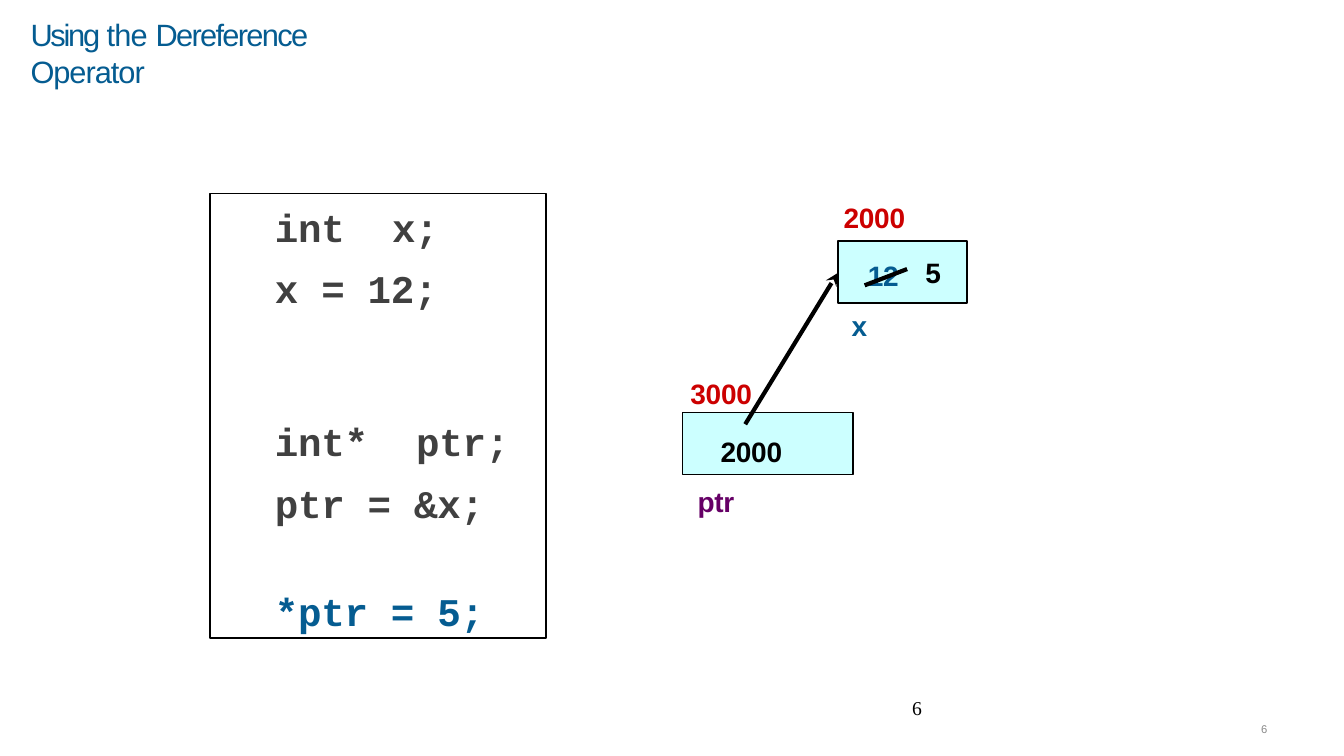
from dataclasses import dataclass

from lxml.etree import SubElement
from pptx import Presentation
from pptx.dml.color import RGBColor
from pptx.enum.shapes import MSO_CONNECTOR as Connector, MSO_SHAPE as Shape
from pptx.oxml.ns import qn
from pptx.util import Cm, Pt

BLUE, RED, PURPLE = "055C91", "CC0000", "660066"
BLACK, GRAY, PALE_GRAY, CYAN = "000000", "404040", "898989", "CCFFFF"
CODE_LEFT = 6.93


@dataclass
class Box:
    x: float
    y: float
    w: float
    h: float
    fill: str | None = None


@dataclass
class Line:
    x1: float
    y1: float
    x2: float
    y2: float
    arrow: bool = False


@dataclass
class Label:
    text: str
    x: float
    y: float
    w: float
    h: float = 0.91
    color: str = BLACK
    size: float = 20
    font: str = "Arial"
    bold: bool = True
    tracking: float = -0.2


@dataclass
class Code(Label):
    """Program text; tab is the tab stop in cm, spacing the line spacing."""
    h: float = 3.18
    color: str = GRAY
    size: float = 28
    font: str = "Courier New"
    tab: float | None = None
    spacing: float = 1.31


BOXES = [
    Box(5.29, 4.87, 8.47, 11.21),
    Box(21.12, 6.07, 3.25, 1.57, CYAN),
    Box(17.2, 10.39, 4.3, 1.57, CYAN),
]
LABELS = [
    Code("int\tx;\vx = 12;", CODE_LEFT, 4.72, 4.4, tab=2.95),
    Code("int*\tptr;\vptr = &x;", CODE_LEFT, 10.13, 6.2, tab=3.56),
    Code("*ptr = 5;", CODE_LEFT, 14.76, 5.6, 1.24, BLUE, spacing=1),
    Label("2000", 21.26, 5.03, 1.7, color=RED),
    Label("12", 21.87, 6.48, 1.0, color=BLUE),
    Label("5", 23.32, 6.4, 0.6),
    Label("x", 21.46, 7.75, 0.6, color=BLUE),
    Label("3000", 17.4, 9.45, 1.7, color=RED),
    Label("2000", 18.16, 10.92, 1.7),
    Label("ptr", 17.58, 12.17, 1.1, color=PURPLE),
    Label("6", 22.99, 17.5, 0.48, 0.6, size=14, font="Times New Roman", bold=False),
    Label("6", 31.78, 18.16, 0.38, 0.41, PALE_GRAY, 8, bold=False),
]
LINES = [
    Line(18.78, 10.69, 21.11, 6.88, arrow=True),
    Line(21.79, 7.19, 22.86, 6.78),
]
TITLE = Label("", 0.77, 0.36, 9.8, 1.0, BLUE, 22, bold=False)
TITLE_RUNS = [("Using ", -1.6), ("the ", -0.5), ("Dereference ", -1.2), ("Operator", -0.7)]


def rgb(value: str) -> RGBColor:
    return RGBColor.from_string(value)


def track(r, points: float) -> None:
    """Set the letter spacing of a run."""
    r._r.get_or_add_rPr().set("spc", str(round(points * 100)))


def draw_box(s, box: Box) -> None:
    sp = s.shapes.add_shape(Shape.RECTANGLE, Cm(box.x), Cm(box.y), Cm(box.w), Cm(box.h))
    sp.shadow.inherit = False
    if box.fill:
        sp.fill.solid()
        sp.fill.fore_color.rgb = rgb(box.fill)
    else:
        sp.fill.background()
    sp.line.color.rgb = rgb(BLACK)
    sp.line.width = Pt(1)


def draw_line(s, line: Line) -> None:
    sp = s.shapes.add_connector(
        Connector.STRAIGHT, Cm(line.x1), Cm(line.y1), Cm(line.x2), Cm(line.y2))
    sp.line.color.rgb = rgb(BLACK)
    sp.line.width = Pt(3)
    if line.arrow:
        SubElement(sp.line._get_or_add_ln(), qn("a:tailEnd"), type="stealth")
    SubElement(sp._element.spPr, qn("a:effectLst"))


def draw_label(s, label: Label):
    """Draw the label and return its paragraph."""
    sp = s.shapes.add_textbox(Cm(label.x), Cm(label.y), Cm(label.w), Cm(label.h))
    tf = sp.text_frame
    tf.word_wrap = True
    tf.margin_left = tf.margin_right = tf.margin_bottom = 0
    tf.margin_top = Cm(0.03)
    p = tf.paragraphs[0]
    p.text = label.text
    if isinstance(label, Code):
        p.line_spacing = label.spacing
        if label.tab:
            tabs = SubElement(p._p.get_or_add_pPr(), qn("a:tabLst"))
            SubElement(tabs, qn("a:tab"), pos=str(Cm(label.tab)), algn="l")
    p.font.name = label.font
    p.font.size = Pt(label.size)
    p.font.bold = label.bold
    p.font.color.rgb = rgb(label.color)
    for r in p.runs:
        track(r, label.tracking)
    return p


def draw_title(s) -> None:
    p = draw_label(s, TITLE)
    for text, tracking in TITLE_RUNS:
        r = p.add_run()
        r.text = text
        track(r, tracking)


def main() -> None:
    prs = Presentation()
    prs.slide_width, prs.slide_height = Cm(33.87), Cm(19.05)
    s = prs.slides.add_slide(prs.slide_layouts[6])
    draw_title(s)
    for box in BOXES:
        draw_box(s, box)
    for label in LABELS:
        draw_label(s, label)
    for line in LINES:
        draw_line(s, line)
    prs.save("out.pptx")


if __name__ == "__main__":
    main()
